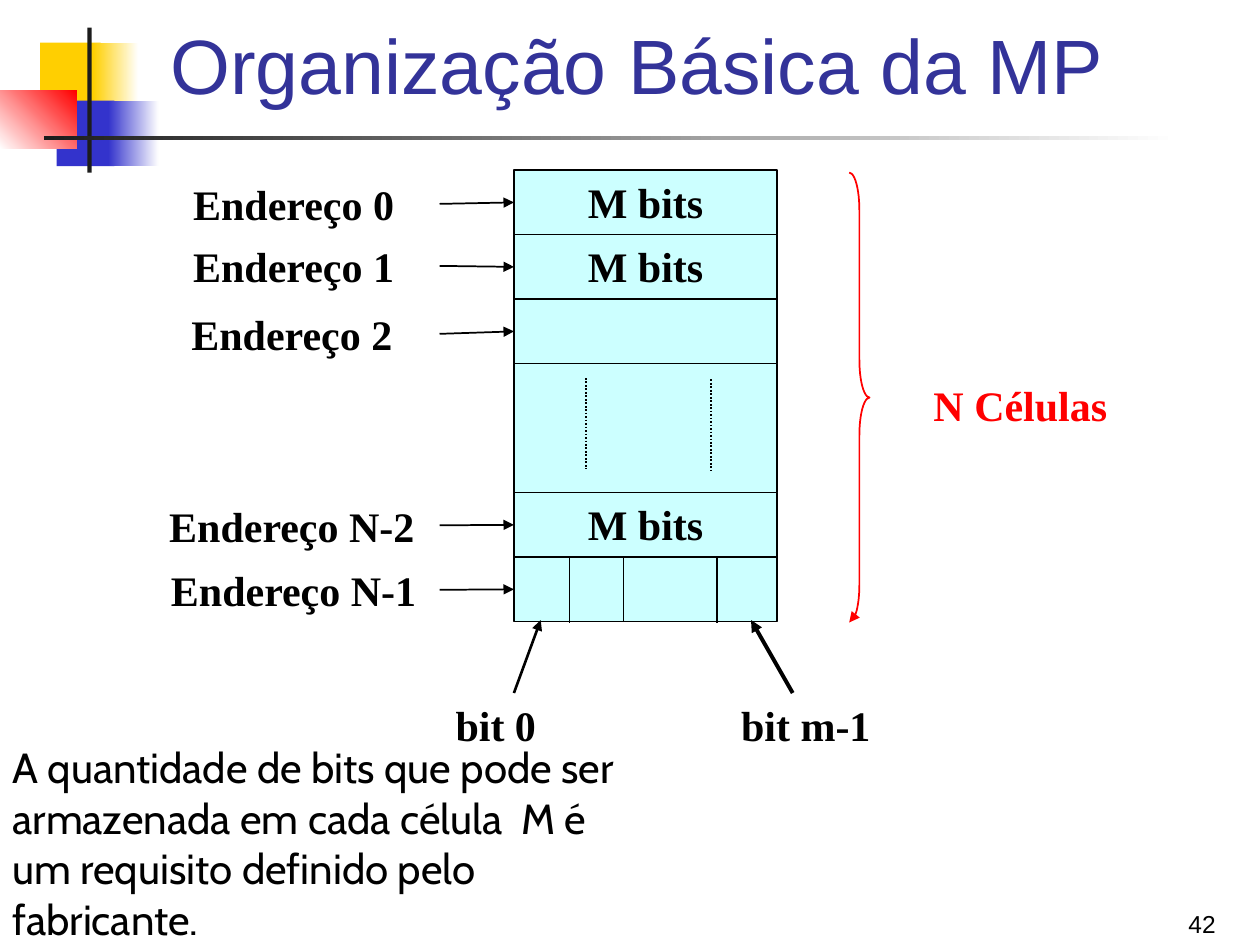
"""Build the slide on the basic organisation of main memory."""
from lxml.etree import SubElement
from pptx import Presentation
from pptx.dml.color import RGBColor
from pptx.enum.dml import MSO_LINE
from pptx.enum.shapes import MSO_CONNECTOR, MSO_SHAPE
from pptx.enum.text import MSO_ANCHOR, MSO_AUTO_SIZE, PP_ALIGN
from pptx.oxml.ns import qn
from pptx.util import Cm, Pt


def color(value):
    return RGBColor.from_string(value)


def write(shape, text, font="Times New Roman", size=24, bold=True, ink="000000",
          align=PP_ALIGN.CENTER, anchor=MSO_ANCHOR.TOP):
    frame = shape.text_frame
    frame.word_wrap = True
    frame.auto_size = MSO_AUTO_SIZE.NONE
    frame.vertical_anchor = anchor
    frame.text = text
    paragraph = frame.paragraphs[0]
    paragraph.alignment = align
    paragraph.font.name = font
    paragraph.font.size = Pt(size)
    paragraph.font.bold = bold
    paragraph.font.color.rgb = color(ink)


deck = Presentation()
deck.slide_width, deck.slide_height = Cm(25.4), Cm(19.05)
page = deck.slides.add_slide(deck.slide_layouts[5])

decorations = [
    (0.81, 0.86, 1.22, 1.32, ["FFCF01"], 0),
    (1.88, 0.86, 0.91, 1.32, ["FFCF01", "FFFFFF"], 0),
    (1.14, 2.03, 1.17, 1.32, ["3333CC"], 0),
    (2.18, 2.03, 1.02, 1.32, ["3333CC", "FFFFFF"], 0),
    (0, 1.83, 1.55, 1.17, ["FFFFFF", "FF0000"], 45),
    (1.76, 0.56, 0.09, 2.92, ["1C1C1C"], 0),
    (0.89, 2.74, 22.86, 0.09, ["1C1C1C", "FFFFFF"], 0),
]
for left, top, width, height, fills, angle in decorations:
    block = page.shapes.add_shape(MSO_SHAPE.RECTANGLE, Cm(left), Cm(top), Cm(width), Cm(height))
    block.shadow.inherit = False
    block.line.fill.background()
    if len(fills) == 1:
        block.fill.solid()
        block.fill.fore_color.rgb = color(fills[0])
    else:
        block.fill.gradient()
        block.fill.gradient_angle = angle
        for stop, value in zip(block.fill.gradient_stops, fills):
            stop.color.rgb = color(value)

title = page.shapes.title
title.left, title.top, title.width, title.height = Cm(3.18), Cm(0), Cm(21.64), Cm(2.34)
write(title, "Organização Básica da MP", "Arial", 44, False, "333399",
      PP_ALIGN.LEFT, MSO_ANCHOR.BOTTOM)

row_height = 1.3
cells = []
for row, span, text in [(0, 1, "M bits"), (1, 1, "M bits"), (2, 1, ""),
                        (3, 2, ""), (5, 1, "M bits"), (6, 1, "")]:
    cell = page.shapes.add_shape(MSO_SHAPE.RECTANGLE, Cm(10.36), Cm(3.43 + row * row_height),
                                 Cm(5.31), Cm(span * row_height))
    cell.shadow.inherit = False
    cell.fill.solid()
    cell.fill.fore_color.rgb = color("CCFFFF")
    cell.line.color.rgb = color("000000")
    cell.line.width = Pt(1)
    if text:
        write(cell, text)
    cells.append(cell)

labels = [
    (2.95, 3.48, 5.94, "Endereço 0", "000000"),
    (2.95, 4.72, 5.94, "Endereço 1", "000000"),
    (2.9, 6.1, 5.97, "Endereço 2", "000000"),
    (2.9, 9.96, 5.97, "Endereço N-2", "000000"),
    (2.95, 11.25, 5.94, "Endereço N-1", "000000"),
    (8.51, 13.97, 2.97, "bit 0", "000000"),
    (14.2, 13.97, 4.09, "bit m-1", "000000"),
    (17.6, 7.52, 5.94, "N Células", "FF0000"),
]
for left, top, width, text, ink in labels:
    write(page.shapes.add_textbox(Cm(left), Cm(top), Cm(width), Cm(1.27)), text, ink=ink)

lines = [
    (8.86, 4.11, 10.36, 4.08, 1, True, None, cells[0]),
    (8.86, 5.36, 10.36, 5.38, 1, True, None, cells[1]),
    (8.86, 6.73, 10.36, 6.68, 1, True, None, cells[2]),
    (8.86, 10.59, 10.36, 10.58, 1, True, None, cells[4]),
    (8.86, 11.89, 10.36, 11.88, 1, True, None, cells[5]),
    (11.48, 11.25, 11.48, 12.55, 1, False, None, None),
    (12.57, 11.23, 12.57, 12.52, 1, False, None, None),
    (14.45, 11.23, 14.45, 12.55, 1, False, None, None),
    (10.36, 13.97, 10.9, 12.5, 1.5, True, None, None),
    (15.98, 13.97, 15.14, 12.5, 2.25, True, None, None),
    (14.33, 7.65, 14.33, 9.5, 1, False, MSO_LINE.ROUND_DOT, None),
    (11.81, 7.62, 11.81, 9.45, 1, False, MSO_LINE.ROUND_DOT, None),
]
arrows = []
for x1, y1, x2, y2, weight, arrow, dash, target in lines:
    line = page.shapes.add_connector(MSO_CONNECTOR.STRAIGHT, Cm(x1), Cm(y1), Cm(x2), Cm(y2))
    line.line.color.rgb = color("000000")
    line.line.width = Pt(weight)
    if dash:
        line.line.dash_style = dash
    if target:
        line.end_connect(target, 1)
    if arrow:
        arrows.append(line)
    SubElement(line._element.spPr, qn("a:effectLst"))

brace = page.shapes.add_shape(MSO_SHAPE.RIGHT_BRACE, Cm(17.12), Cm(3.48), Cm(0.41), Cm(9.07))
brace.shadow.inherit = False
brace.adjustments[0] = 1.86
brace.adjustments[1] = 0.5
brace.fill.background()
brace.line.color.rgb = color("FF0000")
brace.line.width = Pt(1)

for arrow in arrows + [brace]:
    SubElement(arrow.line._get_or_add_ln(), qn("a:tailEnd"), type="triangle")

number = page.shapes.add_textbox(Cm(19.48), Cm(17.78), Cm(5.28), Cm(1.27))
write(number, "42", "Arial", 14, False, align=PP_ALIGN.RIGHT, anchor=MSO_ANCHOR.BOTTOM)

note = page.shapes.add_textbox(Cm(0), Cm(14.83), Cm(12.7), Cm(4.37))
write(note, "A quantidade de bits que pode ser armazenada em cada célula  M é "
      "um requisito definido pelo fabricante.", "Cabin", 24, False, align=PP_ALIGN.LEFT)

deck.save("out.pptx")
